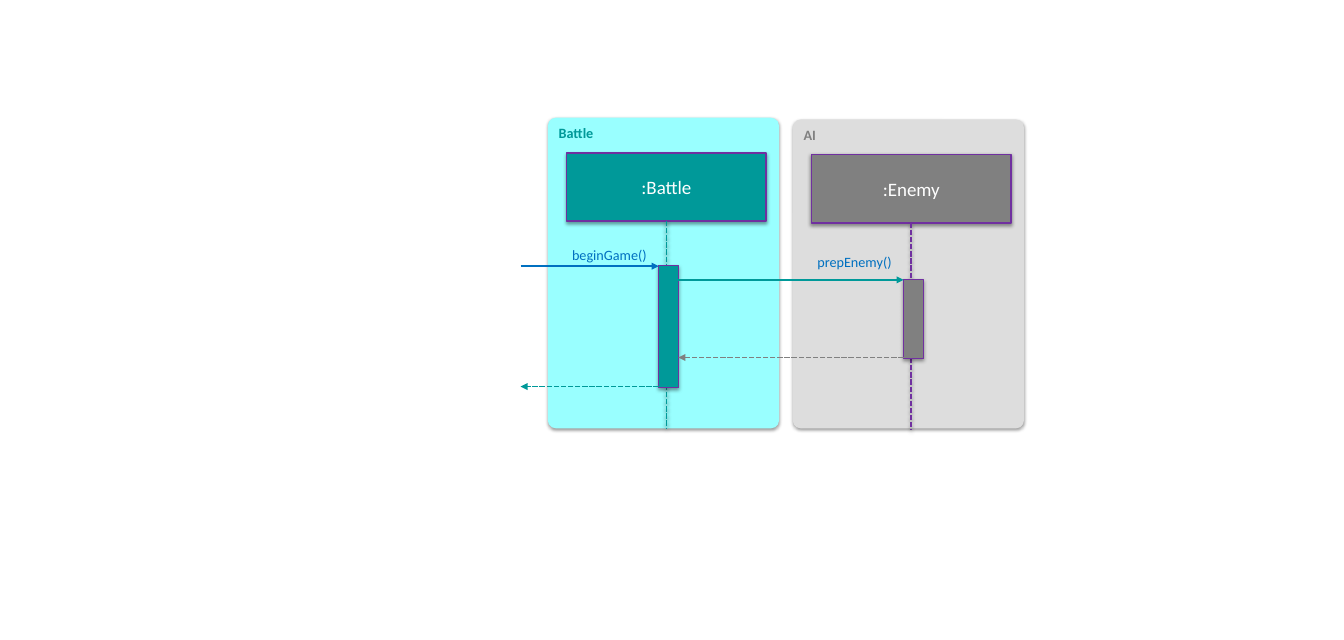
from lxml import etree
from pptx import Presentation
from pptx.dml.color import RGBColor
from pptx.enum.dml import MSO_LINE
from pptx.enum.shapes import MSO_CONNECTOR, MSO_SHAPE
from pptx.enum.text import MSO_ANCHOR, PP_ALIGN
from pptx.oxml.ns import qn
from pptx.util import Inches, Pt

RECT, ROUNDED = MSO_SHAPE.RECTANGLE, MSO_SHAPE.ROUNDED_RECTANGLE
STRAIGHT = MSO_CONNECTOR.STRAIGHT
DASH = MSO_LINE.SQUARE_DOT
LEFT, CENTER, RIGHT = PP_ALIGN.LEFT, PP_ALIGN.CENTER, PP_ALIGN.RIGHT
TOP, MIDDLE = MSO_ANCHOR.TOP, MSO_ANCHOR.MIDDLE
FONT = "Calibri"
TEAL, GRAY, PURPLE, BLUE = "009999", "808080", "7030A0", "0070C0"
BAR_W = 0.23


def color(value):
    return RGBColor.from_string(value)


def set_effects(sp, shadow):
    sp_pr = sp._element.spPr
    for old in sp_pr.findall(qn("a:effectLst")):
        sp_pr.remove(old)
    effects = etree.SubElement(sp_pr, qn("a:effectLst"))
    if shadow:
        outer = etree.SubElement(effects, qn("a:outerShdw"), blurRad=str(Pt(3.1)),
                                 dist=str(Pt(1.6)), dir="5400000", rotWithShape="0")
        black = etree.SubElement(outer, qn("a:srgbClr"), val="000000")
        etree.SubElement(black, qn("a:alpha"), val="38000")


def set_text(sp, text, size=12, fill=BLUE, bold=False, align=LEFT, anchor=TOP, inset=(0.1, 0.05)):
    tf = sp.text_frame
    tf.word_wrap = True
    tf.vertical_anchor = anchor
    tf.margin_left = tf.margin_right = Inches(inset[0])
    tf.margin_top = tf.margin_bottom = Inches(inset[1])
    p = tf.paragraphs[0]
    p.alignment = align
    r = p.add_run()
    r.text = text
    r.font.name = FONT
    r.font.size = Pt(size)
    r.font.bold = bold
    r.font.color.rgb = color(fill)


def add_box(slide, kind, x, y, w, h, fill, line_width=0):
    sp = slide.shapes.add_shape(kind, Inches(x), Inches(y), Inches(w), Inches(h))
    sp.fill.solid()
    sp.fill.fore_color.rgb = color(fill)
    if line_width:
        sp.line.color.rgb = color(PURPLE)
        sp.line.width = Pt(line_width)
    else:
        sp.line.fill.background()
    set_effects(sp, True)
    return sp


def add_line(slide, x1, y1, x2, y2, stroke, dashed=False, arrow=False, shadow=False):
    line = slide.shapes.add_connector(STRAIGHT, Inches(x1), Inches(y1), Inches(x2), Inches(y2))
    line.line.color.rgb = color(stroke)
    line.line.width = Pt(1.5)
    if dashed:
        line.line.dash_style = DASH
    if arrow:
        etree.SubElement(line.line._get_or_add_ln(), qn("a:tailEnd"), type="triangle")
    set_effects(line, shadow)
    return line


def add_lane(slide, x, y, w, h, title, name, back, fill, lifeline, bar_top, bar_h):
    lane = add_box(slide, ROUNDED, x, y, w, h, back)
    lane.adjustments[0] = 0.035
    set_text(lane, title, fill=fill, bold=True)

    head_x, head_y, head_w, head_h = x + 0.22, y + 0.41, 2.34, 0.8
    head = add_box(slide, RECT, head_x, head_y, head_w, head_h, fill, 1.5)
    set_text(head, name, size=16, fill="FFFFFF", align=CENTER, anchor=MIDDLE)

    center = head_x + head_w / 2
    line = add_line(slide, center, head_y + head_h, center, y + 3.64, lifeline,
                    dashed=True, shadow=True)
    line.begin_connect(head, 2)

    bar_x = x + 1.3
    add_box(slide, RECT, bar_x, y + bar_top, BAR_W, bar_h, fill, 0.75)
    return bar_x


def add_call(slide, start, end, call_y, return_y, text, label_y, call_color, return_color):
    add_line(slide, start, call_y, end, call_y, call_color, arrow=True)
    add_line(slide, end, return_y, start, return_y, return_color, dashed=True, arrow=True)
    w = 2.38
    label = slide.shapes.add_textbox(Inches(end - 0.14 - w), Inches(label_y), Inches(w), Inches(0.2))
    set_text(label, text, align=RIGHT, inset=(0, 0))


def main():
    prs = Presentation()
    prs.slide_width, prs.slide_height = Inches(15.75), Inches(7.5)
    slide = prs.slides.add_slide(prs.slide_layouts[6])
    battle = add_lane(slide, 6.42, 1.38, 2.71, 3.64, "Battle", ":Battle",
                      "99FFFF", TEAL, TEAL, 1.73, 1.43)
    enemy = add_lane(slide, 9.29, 1.4, 2.71, 3.62, "AI", ":Enemy",
                     "DDDDDD", GRAY, PURPLE, 1.88, 0.92)
    add_call(slide, 6.1, battle, 3.12, 4.53, "beginGame()", 2.89, BLUE, TEAL)
    add_call(slide, battle + BAR_W, enemy, 3.28, 4.19, "prepEnemy()", 2.97, TEAL, GRAY)
    prs.save("out.pptx")


if __name__ == "__main__":
    main()
